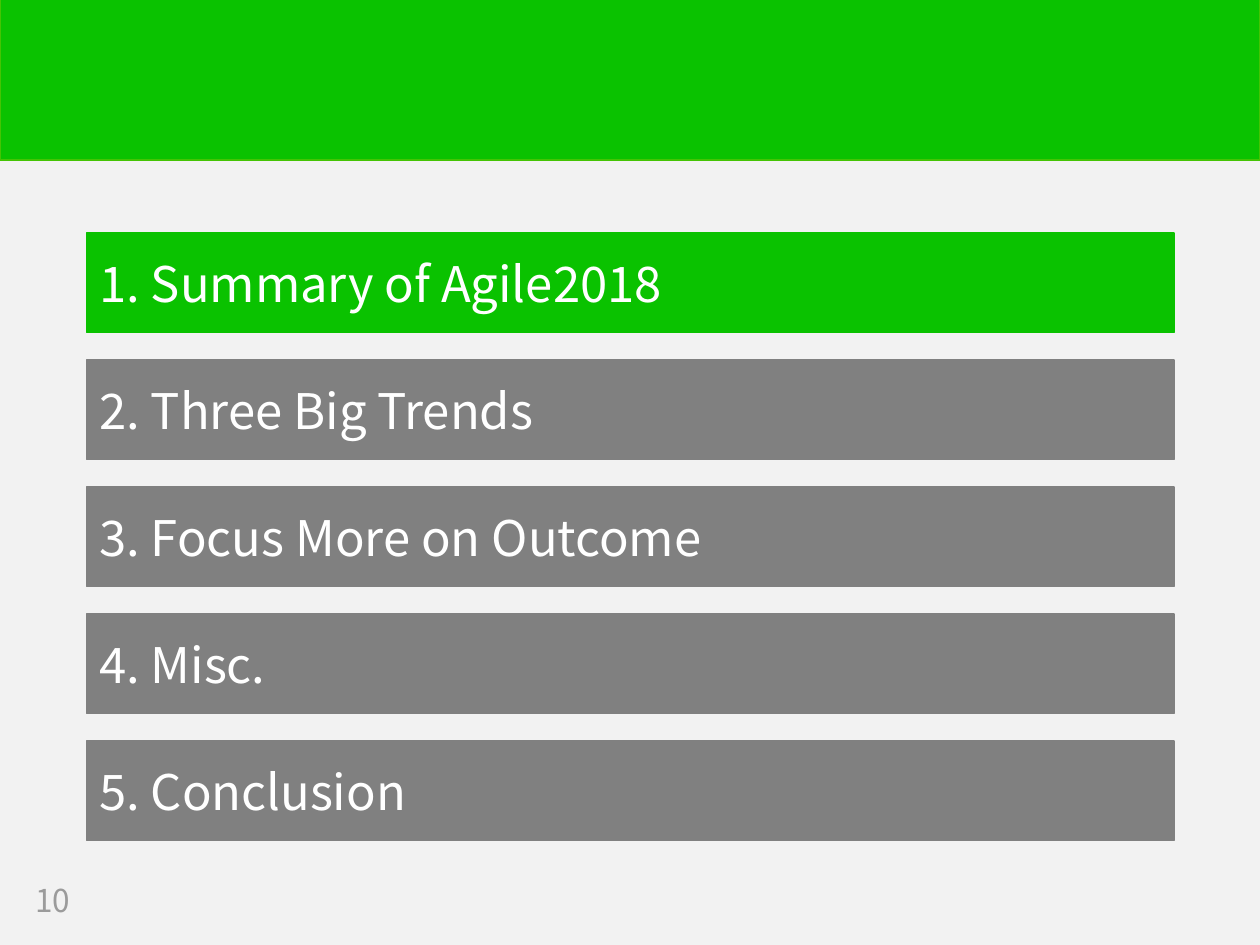
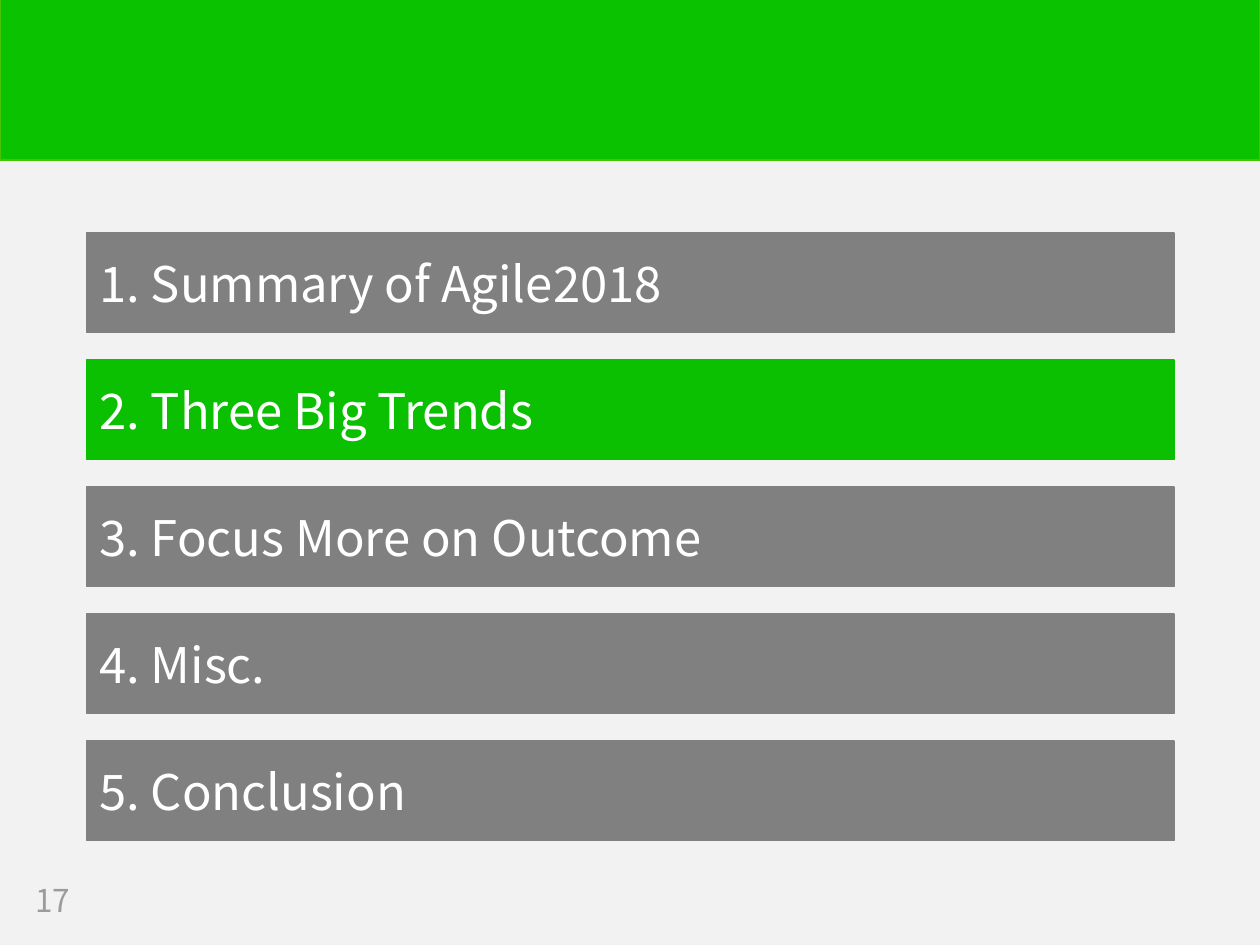
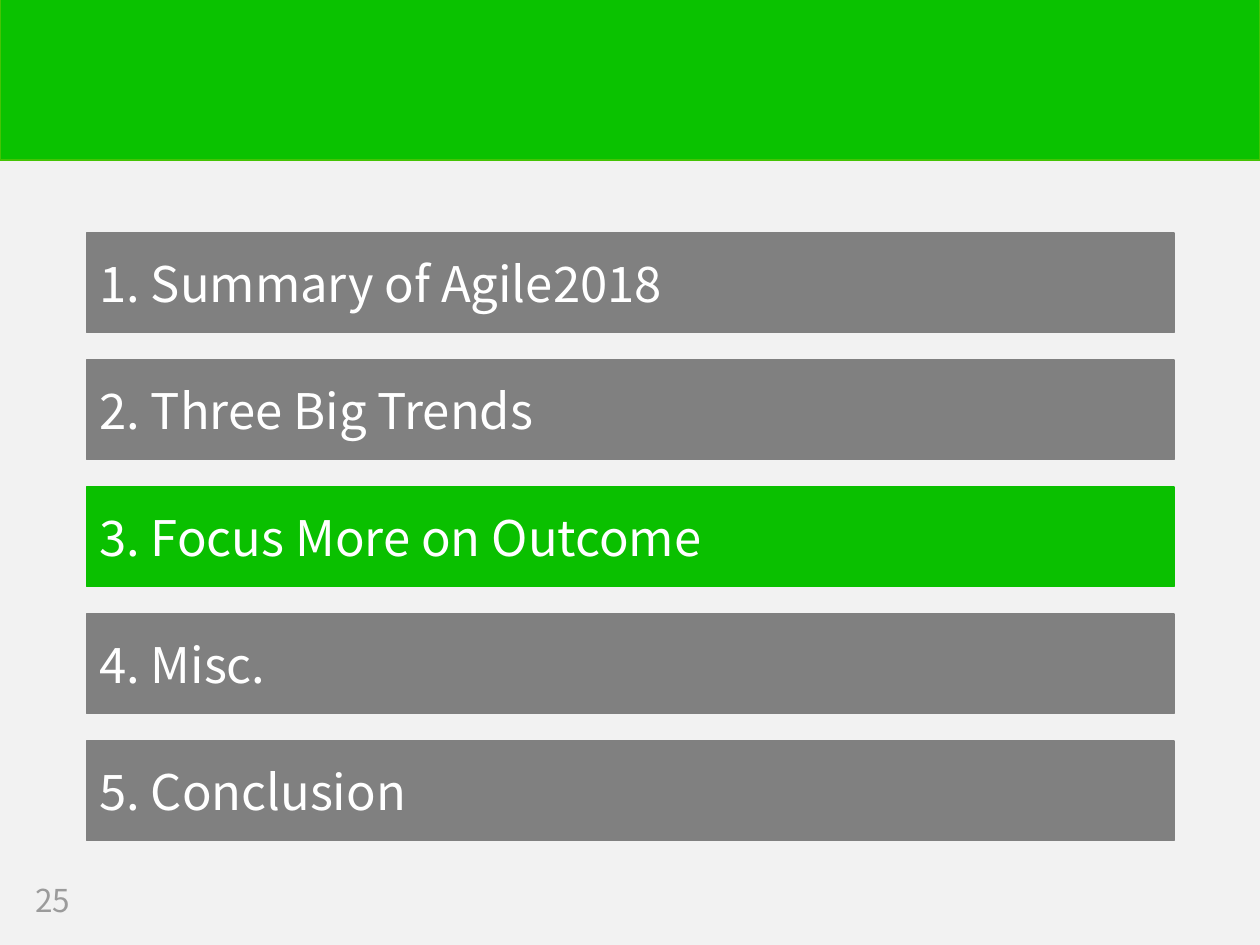
from pptx import Presentation
from pptx.dml.color import RGBColor
from pptx.enum.shapes import MSO_SHAPE
from pptx.enum.text import MSO_ANCHOR, PP_ALIGN
from pptx.util import Cm, Pt

FONT = "Noto Sans CJK JP"
COLORS = {
    "background": "F2F2F2",
    "band": "0AC200",
    "band_edge": "44C404",
    "first_topic": "0AC200",
    "later_topic": "0AC000",
    "inactive": "808080",
    "bar_text": "FFFFFF",
    "page_number": "9B9B9B",
}
SLIDE_WIDTH, SLIDE_HEIGHT = Cm(25.4), Cm(19.05)

TOPICS = ["Summary of Agile2018", "Three Big Trends", "Focus More on Outcome",
          "Misc.", "Conclusion"]
BAR_LEFT, BAR_TOP = Cm(1.75), Cm(4.7)
BAR_WIDTH, BAR_HEIGHT = Cm(21.92), Cm(2.01)
BAR_PITCH = Cm(2.56)

# Page number, current topic and its highlight colour
AGENDA_PAGES = [(10, 1, "first_topic"), (17, 2, "later_topic"), (25, 3, "later_topic")]


def rgb(color):
    return RGBColor.from_string(COLORS[color])


def add_rectangle(slide, left, top, width, height, fill, edge, edge_width):
    rectangle = slide.shapes.add_shape(MSO_SHAPE.RECTANGLE, left, top, width, height)
    rectangle.shadow.inherit = False
    rectangle.fill.solid()
    rectangle.fill.fore_color.rgb = rgb(fill)
    rectangle.line.color.rgb = rgb(edge)
    rectangle.line.width = Pt(edge_width)
    return rectangle


def write_line(holder, text, size, color):
    """Put one left-aligned, vertically centred line into a shape."""
    frame = holder.text_frame
    frame.word_wrap = True
    frame.vertical_anchor = MSO_ANCHOR.MIDDLE
    line = frame.paragraphs[0]
    line.text = text
    line.alignment = PP_ALIGN.LEFT
    line.font.name = FONT
    line.font.size = Pt(size)
    line.font.color.rgb = rgb(color)


def add_header_band(slide):
    add_rectangle(slide, 0, Cm(-0.03), SLIDE_WIDTH, Cm(3.25), "band", "band_edge", 1)


def add_page_number(slide, page):
    number = slide.shapes.add_textbox(Cm(0.46), Cm(17.65), Cm(2.01), Cm(0.99))
    write_line(number, str(page), 18, "page_number")


def add_topic_bars(slide, current, highlight):
    for position, topic in enumerate(TOPICS):
        color = highlight if position + 1 == current else "inactive"
        bar = add_rectangle(slide, BAR_LEFT, BAR_TOP + position * BAR_PITCH,
                            BAR_WIDTH, BAR_HEIGHT, color, color, 0.75)
        write_line(bar, f"{position + 1}. {topic}", 28, "bar_text")


def add_agenda_slide(deck, page, current, highlight):
    slide = deck.slides.add_slide(deck.slide_layouts.get_by_name("Blank"))
    add_header_band(slide)
    add_page_number(slide, page)
    add_topic_bars(slide, current, highlight)


def main():
    deck = Presentation()
    deck.slide_width, deck.slide_height = SLIDE_WIDTH, SLIDE_HEIGHT
    backdrop = deck.slide_master.background.fill
    backdrop.solid()
    backdrop.fore_color.rgb = rgb("background")
    for page, current, highlight in AGENDA_PAGES:
        add_agenda_slide(deck, page, current, highlight)
    deck.save("out.pptx")


if __name__ == "__main__":
    main()
